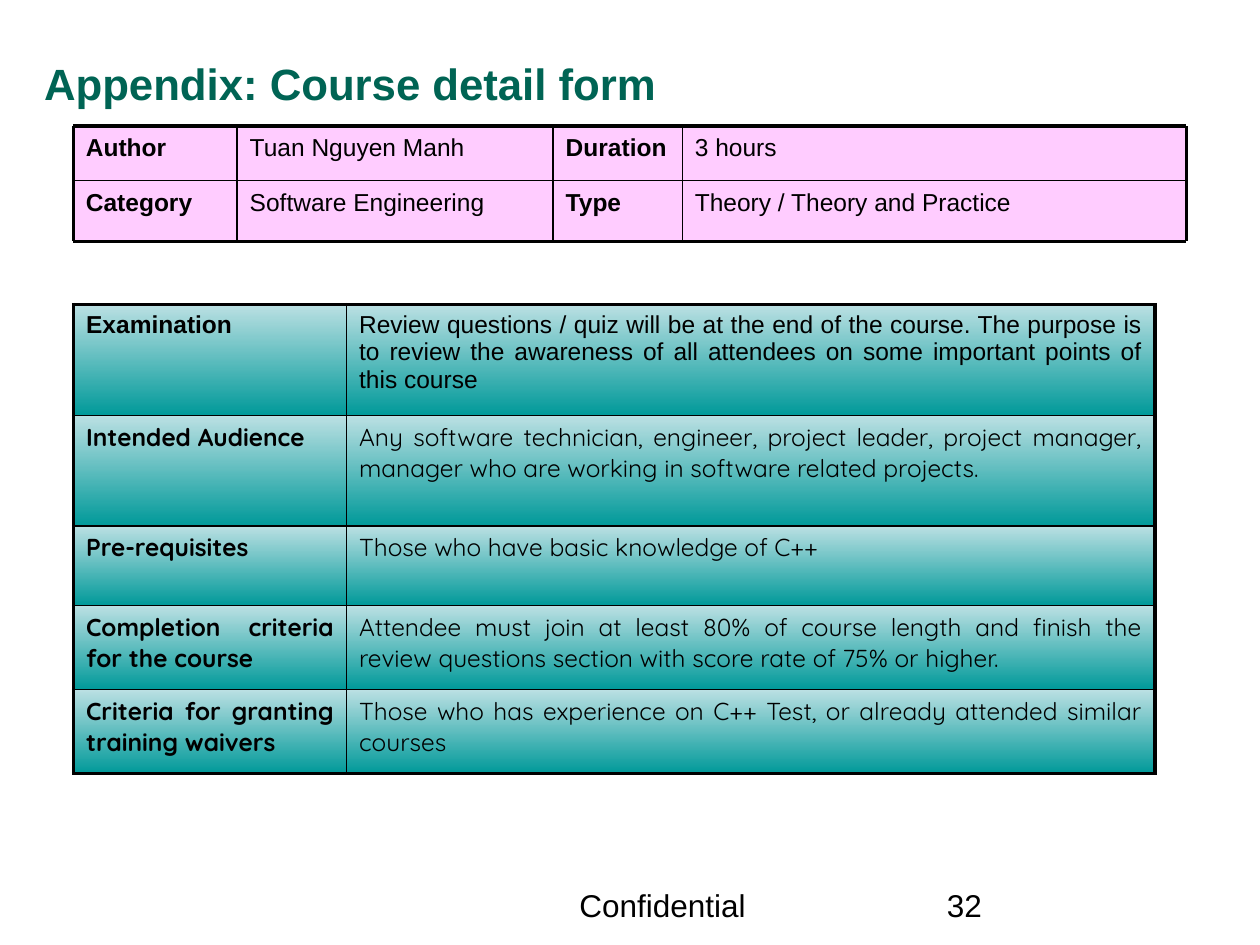
from itertools import accumulate

from lxml import etree
from pptx import Presentation
from pptx.dml.color import RGBColor
from pptx.enum.shapes import MSO_CONNECTOR, MSO_SHAPE
from pptx.enum.text import MSO_ANCHOR, MSO_AUTO_SIZE, PP_ALIGN
from pptx.oxml.ns import qn
from pptx.util import Emu, Pt

TOP, BOTTOM = MSO_ANCHOR.TOP, MSO_ANCHOR.BOTTOM
NO_AUTOFIT = MSO_AUTO_SIZE.NONE
LEFT, JUSTIFY = PP_ALIGN.LEFT, PP_ALIGN.JUSTIFY
RECTANGLE, STRAIGHT = MSO_SHAPE.RECTANGLE, MSO_CONNECTOR.STRAIGHT

EMU_PER_PX = 7620
TITLE_ONLY = 5
THIN, THICK = 1, 2.25
COLORS = {
    "title": "006454",
    "text": "000000",
    "border": "000000",
    "pink": "FFCCFF",
    "teal_light": "BBE0E3",
    "teal_dark": "009999",
}

COURSE_FACTS = [
    ["Author", "Tuan Nguyen Manh", "Duration", "3 hours"],
    ["Category", "Software Engineering", "Type", "Theory / Theory and Practice"],
]
COURSE_RULES = [
    ["Examination",
     "Review questions / quiz will be at the end of the course. The purpose is "
     "to review the awareness of all attendees on some important points of this course"],
    ["Intended Audience",
     "Any software technician, engineer, project leader, project manager, "
     "manager who are working in software related projects."],
    ["Pre-requisites", "Those who have basic knowledge of C++"],
    ["Completion criteria for the course",
     "Attendee must join at least 80% of course length and finish the review "
     "questions section with score rate of 75% or higher."],
    ["Criteria for granting training waivers",
     "Those who has experience on C++ Test, or already attended similar courses"],
]


def px(length):
    """Turn whole pixels into EMU."""
    return Emu(length * EMU_PER_PX)


def rgb(name):
    """Look up a named colour."""
    return RGBColor.from_string(COLORS[name])


def style(paragraph, size, color="text", bold=False, face="Arial", align=LEFT):
    """Format a whole paragraph."""
    paragraph.alignment = align
    font = paragraph.font
    font.name, font.size, font.bold = face, Pt(size), bold
    font.color.rgb = rgb(color)


def add_fact(group, left, top, width, height, wording, bold):
    """Add one pink field of the facts grid."""
    field = group.shapes.add_shape(RECTANGLE, *map(px, (left, top, width, height)))
    field.shadow.inherit = False
    field.fill.solid()
    field.fill.fore_color.rgb = rgb("pink")
    field.line.fill.background()
    content = field.text_frame
    content.text = wording
    content.vertical_anchor = TOP
    style(content.paragraphs[0], 14, bold=bold, align=JUSTIFY)


def add_rule(group, start_x, start_y, end_x, end_y, weight):
    """Add one ruled line of the facts grid."""
    rule = group.shapes.add_connector(
        STRAIGHT, *map(px, (start_x, start_y, end_x, end_y)))
    rule.line.color.rgb = rgb("border")
    rule.line.width = Pt(weight)
    etree.SubElement(rule._element.spPr, qn("a:effectLst"))


def add_facts(slide, left, top, widths, heights, entries):
    """Add the grouped facts grid: fields below, ruled lines above."""
    group = slide.shapes.add_group_shape()
    xs = list(accumulate(widths, initial=left))
    ys = list(accumulate(heights, initial=top))
    for r in reversed(range(len(heights))):
        for c in reversed(range(len(widths))):
            add_fact(group, xs[c], ys[r], widths[c], heights[r],
                     entries[r][c], bold=c % 2 == 0)
    for y in ys:
        add_rule(group, xs[0], y, xs[-1], y, THICK if y in (ys[0], ys[-1]) else THIN)
    for x in xs:
        add_rule(group, x, ys[0], x, ys[-1], THICK if x in (xs[0], xs[-1]) else THIN)


def fill_teal(cell):
    """Give a cell the downward teal gradient."""
    cell.fill.gradient()
    cell.fill.gradient_angle = 270
    for stop, color in zip(cell.fill.gradient_stops, ("teal_light", "teal_dark")):
        stop.color.rgb = rgb(color)


def set_borders(cell, widths):
    """Draw the left, right, top and bottom borders of a cell."""
    properties = cell._tc.get_or_add_tcPr()
    for position, (side, width) in enumerate(zip("LRTB", widths)):
        border = etree.Element(qn(f"a:ln{side}"), w=str(Pt(width)))
        solid = etree.SubElement(border, qn("a:solidFill"))
        etree.SubElement(solid, qn("a:srgbClr"), val=COLORS["border"])
        properties.insert(position, border)


def add_rules_table(slide, left, top, widths, heights, entries, faces):
    """Add the table of course rules with a bold label column."""
    frame = slide.shapes.add_table(
        len(heights), len(widths), px(left), px(top), px(sum(widths)), px(sum(heights)))
    table = frame.table
    table.first_row = table.horz_banding = False
    for column, width in zip(table.columns, widths):
        column.width = px(width)
    last_row, last_column = len(heights) - 1, len(widths) - 1
    for r, (height, entry, face) in enumerate(zip(heights, entries, faces)):
        table.rows[r].height = px(height)
        for c, wording in enumerate(entry):
            cell = table.cell(r, c)
            cell.text = wording
            style(cell.text_frame.paragraphs[0], 14, bold=c == 0,
                  face=face, align=JUSTIFY)
            fill_teal(cell)
            outer = (c == 0, c == last_column, r == 0, r == last_row)
            set_borders(cell, [THICK if edge else THIN for edge in outer])


def add_title(slide, left, top, width, height, wording):
    """Place the slide heading in the title placeholder."""
    title = slide.shapes.title
    title.left, title.top, title.width, title.height = map(px, (left, top, width, height))
    heading = title.text_frame
    heading.text = wording
    heading.vertical_anchor = BOTTOM
    heading.auto_size = NO_AUTOFIT
    style(heading.paragraphs[0], 25, "title", bold=True)


def add_footer(slide, left, top, width, height, wording):
    """Add one footer entry."""
    footer = slide.shapes.add_textbox(*map(px, (left, top, width, height))).text_frame
    footer.word_wrap = True
    footer.text = wording
    style(footer.paragraphs[0], 18)


def main():
    """Build the course detail slide."""
    deck = Presentation()
    deck.slide_width, deck.slide_height = px(1200), px(900)
    slide = deck.slides.add_slide(deck.slide_layouts[TITLE_ONLY])
    add_footer(slide, 890, 838, 280, 62, "32")
    add_footer(slide, 540, 838, 380, 62, "Confidential")
    add_title(slide, 30, 30, 1140, 80, "Appendix: Course detail form")
    add_facts(slide, 70, 120, [156, 301, 123, 480], [52, 58], COURSE_FACTS)
    add_rules_table(slide, 70, 290, [260, 770], [106, 105, 76, 80, 80],
                    COURSE_RULES, ["Arial"] + ["Quicksand"] * 4)
    deck.save("out.pptx")


if __name__ == "__main__":
    main()
